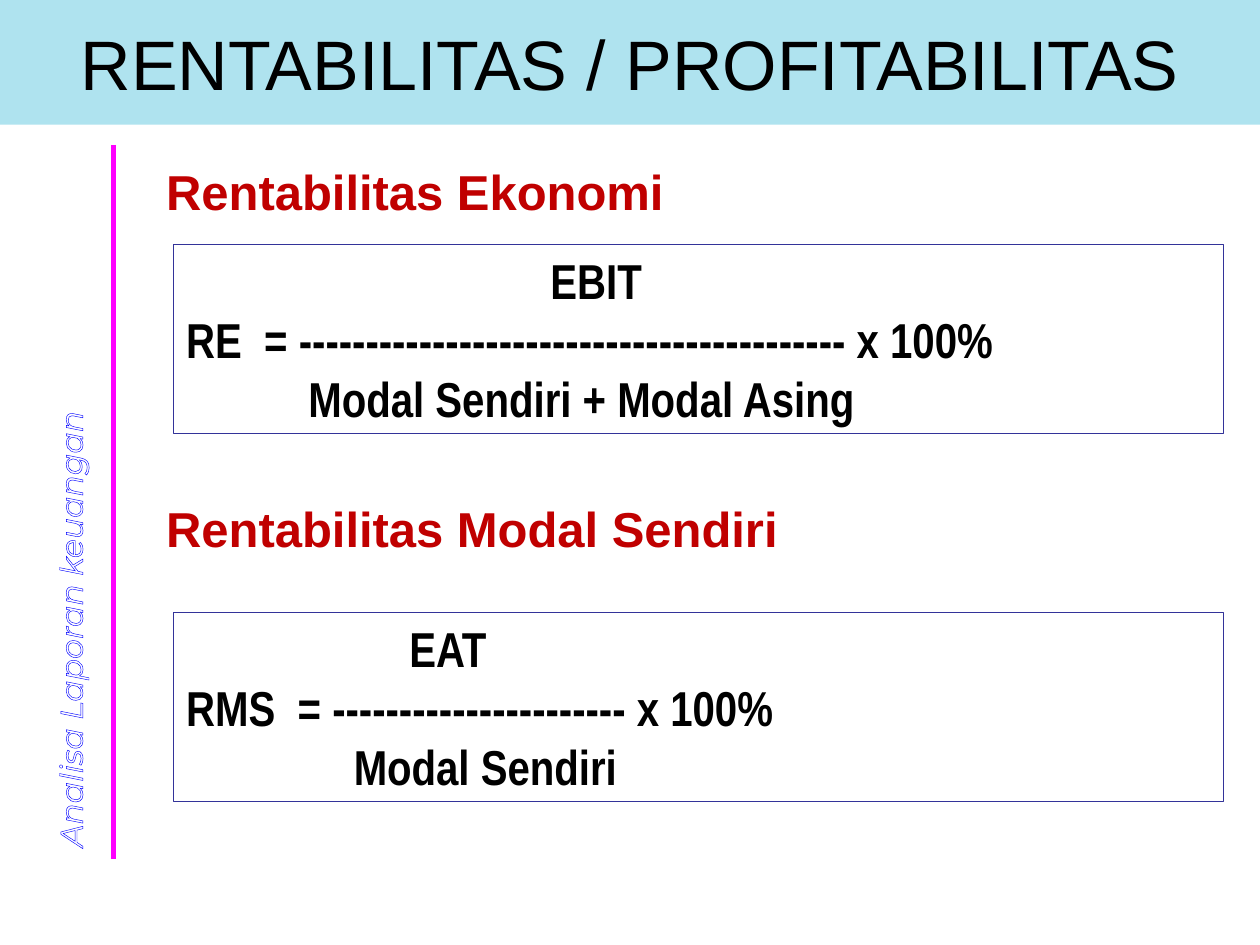
from dataclasses import dataclass

from lxml import etree
from pptx import Presentation
from pptx import util as u
from pptx.dml.color import RGBColor
from pptx.enum import shapes, text
from pptx.oxml import ns


@dataclass(frozen=True)
class Theme:
    """Colours, fonts and type sizes of the slide."""
    banner: str = "AFE3EF"
    ink: str = "000000"
    heading: str = "C00000"
    frame: str = "333399"
    rule: str = "FF00FF"
    side_fill: str = "FFFFFF"
    side_outline: str = "0000FF"
    font: str = "Arial"
    narrow_font: str = "Arial Narrow"
    side_font: str = "Montserrat"
    title_size: int = 40
    body_size: int = 28
    side_size: int = 18


THEME = Theme()
WIDTH, HEIGHT = 10, 7.5
BANNER_HEIGHT = 0.99
HEADING_HEIGHT, FORMULA_HEIGHT = 0.57, 1.5
FORMULA_INSET = 0.16

SECTIONS = [
    ((1.22, 1.23, 8.49, 2.21), "Rentabilitas Ekonomi",
     [("EBIT", 2.89),
      ("RE  = ----------------------------------------- x 100%", 0),
      ("Modal Sendiri + Modal Asing", 0.97)]),
    ((1.22, 3.91, 8.49, 2.45), "Rentabilitas Modal Sendiri",
     [("EAT", 1.77),
      ("RMS  = ---------------------- x 100%", 0),
      ("Modal Sendiri", 1.33)]),
]


def inches(box):
    """Turn a box in inches into lengths."""
    return [u.Inches(value) for value in box]


def add_run(paragraph, words, font, size, colour, bold=False, italic=False):
    """Add one styled run to a paragraph."""
    run = paragraph.add_run()
    run.text = words
    run.font.name = font
    run.font.size = u.Pt(size)
    run.font.bold = bold
    run.font.italic = italic
    run.font.color.rgb = RGBColor.from_string(colour)
    return run


def add_rectangle(slide, box, fill=None, line=None):
    """Add a flat rectangle with an optional fill and line."""
    shape = slide.shapes.add_shape(shapes.MSO_SHAPE.RECTANGLE, *inches(box))
    shape.shadow.inherit = False
    if fill:
        shape.fill.solid()
        shape.fill.fore_color.rgb = RGBColor.from_string(fill)
    else:
        shape.fill.background()
    if line:
        shape.line.color.rgb = RGBColor.from_string(line)
        shape.line.width = u.Pt(0.75)
    else:
        shape.line.fill.background()
    return shape


def add_banner(slide, box):
    """Place the title band."""
    frame = add_rectangle(slide, box, fill=THEME.banner).text_frame
    frame.word_wrap = False
    frame.vertical_anchor = text.MSO_ANCHOR.MIDDLE
    paragraph = frame.paragraphs[0]
    paragraph.alignment = text.PP_ALIGN.CENTER
    add_run(paragraph, "RENTABILITAS / PROFITABILITAS",
            THEME.font, THEME.title_size, THEME.ink)


def add_sidebar(slide, box):
    """Place the upright outlined caption and the rule on its right edge."""
    left, top, width, height = box
    length, depth = 5.73, 0.47
    centre_x, centre_y = left + width * 0.66, top + height * 0.495
    caption = slide.shapes.add_textbox(*inches(
        (centre_x - length / 2, centre_y - depth / 2, length, depth)))
    caption.rotation = 270
    caption.text_frame.word_wrap = False
    run = add_run(caption.text_frame.paragraphs[0], "Analisa Laporan keuangan",
                  THEME.side_font, THEME.side_size, THEME.side_fill, italic=True)
    outline = etree.Element(ns.qn("a:ln"), w=str(u.Pt(0.75)))
    solid = etree.SubElement(outline, ns.qn("a:solidFill"))
    etree.SubElement(solid, ns.qn("a:srgbClr"), val=THEME.side_outline)
    run.font._element.insert(0, outline)

    rule = slide.shapes.add_connector(
        shapes.MSO_CONNECTOR.STRAIGHT,
        *inches((left + width, top, left + width, top + height)))
    rule.line.color.rgb = RGBColor.from_string(THEME.rule)
    rule.line.width = u.Pt(3)
    etree.SubElement(rule._element.spPr, ns.qn("a:effectLst"))


def add_section(slide, box, heading, formula):
    """Place a heading at the top of the box and its formula at the bottom."""
    left, top, width, height = box
    title = slide.shapes.add_textbox(*inches((left, top, width, HEADING_HEIGHT)))
    title.text_frame.word_wrap = True
    add_run(title.text_frame.paragraphs[0], heading,
            THEME.font, THEME.body_size, THEME.heading, bold=True)

    frame = add_rectangle(
        slide,
        (left + FORMULA_INSET, top + height - FORMULA_HEIGHT,
         width - FORMULA_INSET, FORMULA_HEIGHT),
        line=THEME.frame).text_frame
    frame.word_wrap = True
    frame.auto_size = text.MSO_AUTO_SIZE.SHAPE_TO_FIT_TEXT
    frame.vertical_anchor = text.MSO_ANCHOR.TOP
    for index, (words, indent) in enumerate(formula):
        paragraph = frame.add_paragraph() if index else frame.paragraphs[0]
        paragraph.alignment = text.PP_ALIGN.LEFT
        paragraph._p.get_or_add_pPr().set("marL", str(u.Inches(indent)))
        add_run(paragraph, words, THEME.narrow_font, THEME.body_size,
                THEME.ink, bold=True)


def main():
    """Build and save the slide."""
    presentation = Presentation()
    presentation.slide_width = u.Inches(WIDTH)
    presentation.slide_height = u.Inches(HEIGHT)
    slide = presentation.slides.add_slide(presentation.slide_layouts[6])
    add_sidebar(slide, (0, 1.15, 0.9, 5.67))
    for box, heading, formula in SECTIONS:
        add_section(slide, box, heading, formula)
    add_banner(slide, (0, 0, WIDTH, BANNER_HEIGHT))
    presentation.save("out.pptx")


if __name__ == "__main__":
    main()
